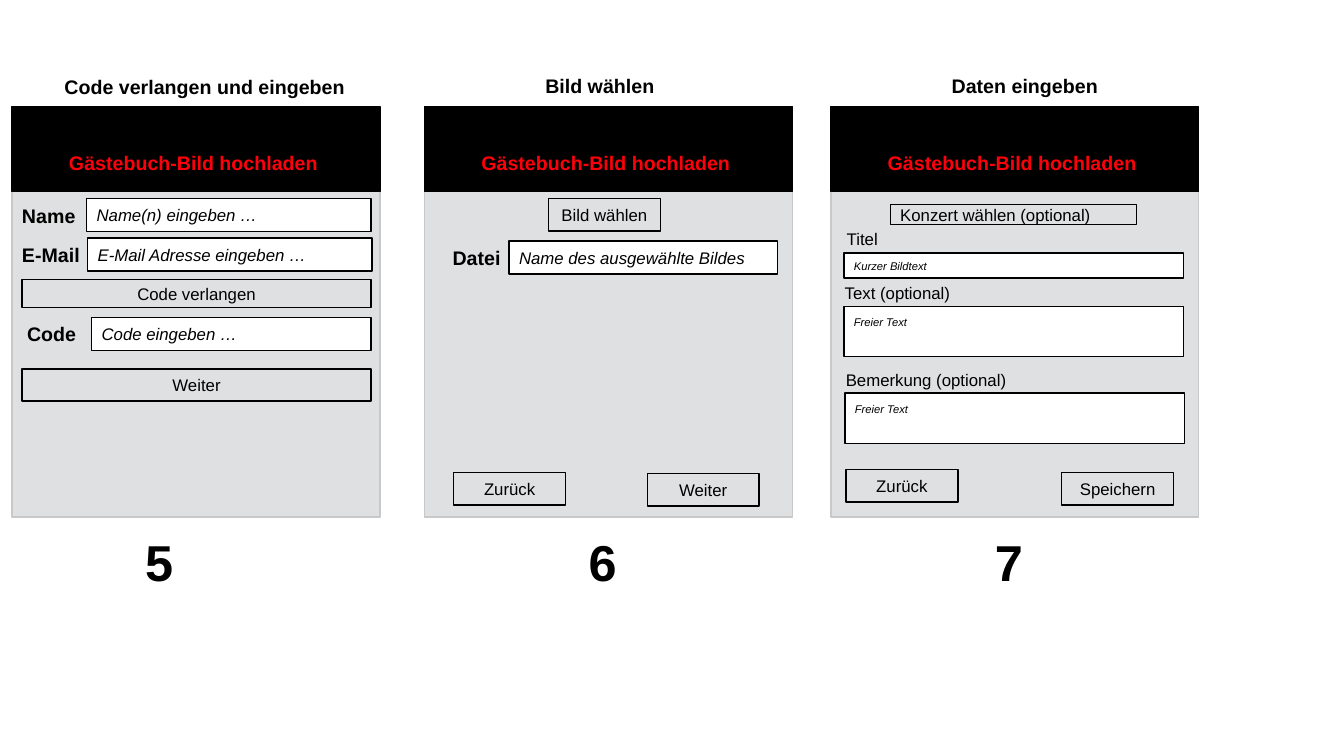
"""Build a slide with three phone screens for uploading a guest book picture."""
from typing import Any, NamedTuple

import pptx
import pptx.dml.color
import pptx.enum.shapes
import pptx.enum.text
import pptx.util

SCALE = 9144
LEFT = pptx.enum.text.PP_ALIGN.LEFT
MID = pptx.enum.text.PP_ALIGN.CENTER


class Style(NamedTuple):
    size: int
    look: dict[str, Any] = {}
    hue: str = "000000"
    fill: str | None = None
    line: str | None = "000000"
    align: Any = LEFT
    inset: dict[str, int] = {}


class Field(NamedTuple):
    style: Style
    left: int
    top: int
    width: int
    height: int
    text: str = ""


class Screen(NamedTuple):
    left: int
    fields: list[Field]


BOLD, SLANT = {"bold": True}, {"italic": True}
PANEL = Style(12, fill="DFE0E1", line="C8C8C8")
BAR = Style(14, BOLD, "FF000A", "000000", align=MID,
            inset={"margin_top": 31, "margin_right": 15})
ENTRY = Style(12, SLANT, fill="FFFFFF")
SMALL = Style(8, SLANT, fill="FFFFFF")
AREA = SMALL._replace(inset={"margin_bottom": 24})
BUTTON = Style(12, align=MID)
CHOICE = Style(12)
LABEL = Style(14, BOLD, line=None)
PLAIN = Style(12, line=None)
NUMBER = Style(36, BOLD, line=None)

FRAME = [
    Field(PANEL, 0, 116, 365, 397),
    Field(BAR, 0, 106, 365, 84, "Gästebuch-Bild hochladen"),
]

SCREENS = [
    Screen(12, [
        Field(LABEL, 42, 69, 329, 34, "Code verlangen und eingeben"),
        Field(ENTRY, 74, 197, 282, 33, "Name(n) eingeben …"),
        Field(LABEL, 0, 197, 74, 34, "Name"),
        Field(ENTRY, 75, 236, 282, 33, "E-Mail Adresse eingeben …"),
        Field(LABEL, 0, 236, 86, 34, "E-Mail"),
        Field(BUTTON, 10, 277, 346, 28, "Code verlangen"),
        Field(ENTRY, 79, 315, 277, 33, "Code eingeben …"),
        Field(LABEL, 5, 314, 74, 34, "Code"),
        Field(BUTTON, 10, 366, 346, 32, "Weiter"),
        Field(NUMBER, 122, 522, 61, 71, "5"),
    ]),
    Screen(421, [
        Field(LABEL, 110, 68, 207, 34, "Bild wählen"),
        Field(BUTTON, 123, 197, 111, 32, "Bild wählen"),
        Field(ENTRY, 84, 239, 266, 33, "Name des ausgewählte Bildes"),
        Field(LABEL, 18, 239, 86, 34, "Datei"),
        Field(BUTTON, 29, 469, 111, 32, "Zurück"),
        Field(BUTTON, 221, 470, 111, 32, "Weiter"),
        Field(NUMBER, 153, 522, 61, 71, "6"),
    ]),
    Screen(824, [
        Field(LABEL, 110, 68, 207, 34, "Daten eingeben"),
        Field(CHOICE, 59, 203, 244, 20, "Konzert wählen (optional)"),
        Field(PLAIN, 6, 222, 177, 30, "Titel"),
        Field(SMALL, 13, 251, 337, 25, "Kurzer Bildtext"),
        Field(PLAIN, 4, 276, 177, 30, "Text (optional)"),
        Field(AREA, 13, 304, 337, 50, "Freier Text"),
        Field(PLAIN, 5, 362, 291, 30, "Bemerkung (optional)"),
        Field(AREA, 14, 390, 337, 50, "Freier Text"),
        Field(BUTTON, 15, 466, 111, 32, "Zurück"),
        Field(BUTTON, 229, 469, 111, 32, "Speichern"),
        Field(NUMBER, 153, 522, 61, 71, "7"),
    ]),
]


def px(count: int) -> pptx.util.Emu:
    """Turn px into EMU."""
    return pptx.util.Emu(count * SCALE)


def paint(fill: Any, hue: str | None) -> None:
    """Fill with a hex colour, or with nothing."""
    if hue is None:
        fill.background()
    else:
        fill.solid()
        fill.fore_color.rgb = pptx.dml.color.RGBColor.from_string(hue)


def apply(target: Any, values: dict[str, Any]) -> None:
    """Set each named value on the target."""
    for name, value in values.items():
        setattr(target, name, value)


def write(frame: Any, field: Field, anchor: Any) -> None:
    """Put the text of a field into its frame."""
    style = field.style
    inset = {"margin_left": 10, "margin_right": 10,
             "margin_top": 5, "margin_bottom": 5} | style.inset
    apply(frame, {"word_wrap": True, "vertical_anchor": anchor})
    apply(frame, {side: px(count) for side, count in inset.items()})
    para = frame.paragraphs[0]
    para.alignment = style.align
    run = para.add_run()
    run.text = field.text
    apply(run.font, {"name": "Arial", "size": pptx.util.Pt(style.size)} | style.look)
    paint(run.font.fill, style.hue)


def draw(slide: Any, field: Field, shift: int) -> None:
    """Draw one field, moved right by the left edge of its screen."""
    style = field.style
    box = [px(n) for n in (field.left + shift, field.top, field.width, field.height)]
    if style.line is None:
        shape = slide.shapes.add_textbox(*box)
        anchor = pptx.enum.text.MSO_ANCHOR.TOP
    else:
        shape = slide.shapes.add_shape(
            pptx.enum.shapes.MSO_SHAPE.RECTANGLE, *box)
        shape.shadow.inherit = False
        paint(shape.fill, style.fill)
        paint(shape.line.fill, style.line)
        shape.line.width = pptx.util.Pt(1)
        anchor = pptx.enum.text.MSO_ANCHOR.MIDDLE
    if field.text:
        write(shape.text_frame, field, anchor)


def main() -> None:
    """Build and save the deck."""
    deck = pptx.Presentation()
    apply(deck, {"slide_width": px(1333), "slide_height": px(750)})
    slide = deck.slides.add_slide(deck.slide_layouts[6])
    for screen in SCREENS:
        for field in FRAME + screen.fields:
            draw(slide, field, screen.left)
    deck.save("out.pptx")


if __name__ == "__main__":
    main()
